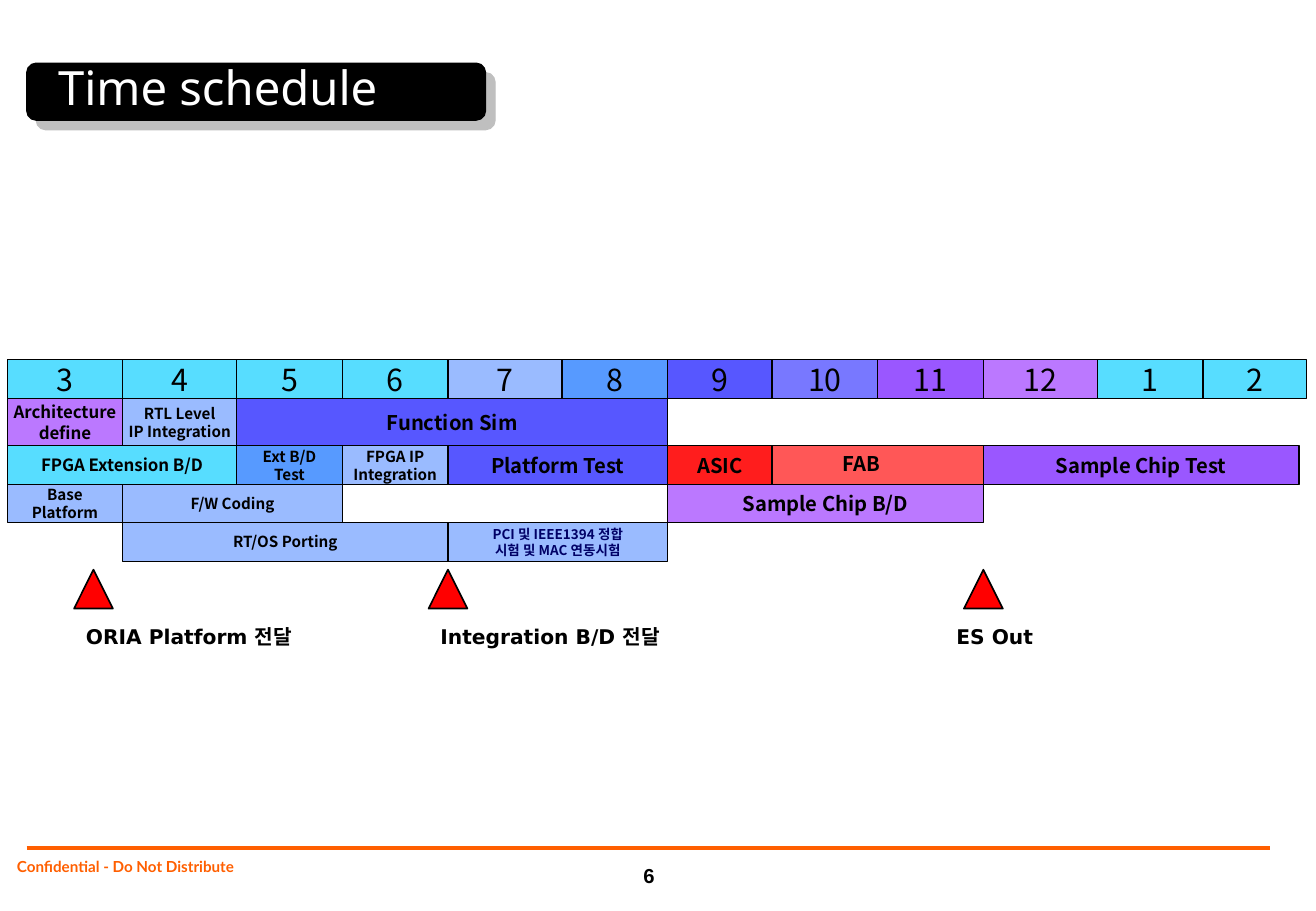
from itertools import accumulate
from lxml.etree import SubElement
from pptx import Presentation
from pptx.dml.color import RGBColor
from pptx.enum.shapes import MSO_CONNECTOR, MSO_SHAPE as SHAPE
from pptx.enum.text import MSO_ANCHOR as ANCHOR, PP_ALIGN as ALIGN
from pptx.oxml.ns import qn
from pptx.util import Pt


class Theme:
    black, white, orange, red = "000000", "FFFFFF", "FF5F00", "FF0000"
    cyan, pale, sky, blue = "00CCFF", "6699FF", "0066FF", "0000FF"
    indigo, violet, purple, navy = "3333FF", "6600FF", "9933FF", "000066"
    shadow = "808080"
    title_font, bar_font, mark_font = "Noto Sans", "Noto Sans CJK KR", "DejaVu Sans"
    footer_font, number_font = "Lato", "Arial"
    title, month, large, medium, small, tiny = 28, 18, 12, 10, 9, 8
    bar_alpha = 66


T = Theme

# Content: months as (name, width, colour)
MONTHS = [
    ("3", 95, T.cyan), ("4", 94, T.cyan), ("5", 87, T.cyan), ("6", 87, T.cyan),
    ("7", 94, T.pale), ("8", 87, T.sky), ("9", 86, T.blue), ("10", 87, T.indigo),
    ("11", 87, T.violet), ("12", 94, T.purple), ("1", 87, T.cyan), ("2", 85, T.cyan),
]
# Tasks by row: (lines, first column, end column, colour, size, text colour)
TASKS = [
    [(["Architecture", "define"], 0, 1, T.purple, T.medium, T.black),
     (["RTL Level", "IP Integration"], 1, 2, T.pale, T.small, T.black),
     (["Function Sim"], 2, 6, T.blue, T.large, T.black)],
    [(["FPGA Extension B/D"], 0, 2, T.cyan, T.medium, T.black),
     (["Ext B/D", "Test"], 2, 3, T.sky, T.small, T.black),
     (["FPGA IP", "Integration"], 3, 4, T.pale, T.small, T.black),
     (["Platform Test"], 4, 6, T.blue, T.large, T.black),
     ([], 6, 9, T.red, T.large, T.black),
     (["ASIC"], 6, 7, T.red, T.large, T.black),
     (["Sample Chip Test"], 9, 12, T.violet, T.large, T.black)],
    [(["Base", "Platform"], 0, 1, T.pale, T.small, T.black),
     (["F/W Coding"], 1, 3, T.pale, T.small, T.black),
     (["Sample Chip B/D"], 6, 9, T.purple, T.large, T.black)],
    [(["RT/OS Porting"], 1, 4, T.pale, T.small, T.black),
     (["PCI 및 IEEE1394 정합", "시험 및 MAC 연동시험"], 4, 6, T.pale, T.tiny, T.navy)],
]
# Milestones: (label, triangle centre, label left, label width)
MILESTONES = [
    ("ORIA Platform 전달", 77, 61, 236),
    ("Integration B/D 전달", 369, 353, 236),
    ("ES Out", 810, 778, 197),
]

# Layout, 100 px to the inch
PX = 9144
CHART_LEFT, CHART_TOP, PLAN_END = 6, 296, 1070
ROW_HEIGHTS = [32, 39, 32, 31, 32]
MARK_TOP, MARK_SIZE, LABEL_TOP = 469, 32, 509
COLUMNS = list(accumulate([w for _, w, _ in MONTHS], initial=CHART_LEFT))
ROWS = list(accumulate(ROW_HEIGHTS, initial=CHART_TOP))

prs = Presentation()
prs.slide_width, prs.slide_height = 1084 * PX, 750 * PX
s = prs.slides.add_slide(prs.slide_layouts[6])


def box(*px):
    return [v * PX for v in px]


def write(sp, lines, size, font, color=T.black, bold=True, align=ALIGN.LEFT,
          anchor=ANCHOR.TOP, insets=(10, 5, 10, 5), wrap=True, spacing=None):
    tf = sp.text_frame
    tf.word_wrap, tf.vertical_anchor = wrap, anchor
    tf.margin_left, tf.margin_top, tf.margin_right, tf.margin_bottom = box(*insets)
    for i, line in enumerate(lines):
        p = tf.add_paragraph() if i else tf.paragraphs[0]
        p.add_run().text = line
        p.alignment = align
        if spacing:
            p.line_spacing = spacing
        p.font.size, p.font.bold, p.font.name = Pt(size), bold, font
        p.font.color.rgb = RGBColor.from_string(color)
        SubElement(p._p.pPr.find(qn("a:defRPr")), qn("a:ea"), typeface=font)


def label(px, lines, size, font, **style):
    write(s.shapes.add_textbox(*box(*px)), lines, size, font, **style)


def shape(kind, px, color, width=0.75, alpha=None):
    sp = s.shapes.add_shape(kind, *box(*px))
    sp.shadow.inherit = False
    sp.fill.solid()
    sp.fill.fore_color.rgb = RGBColor.from_string(color)
    sp.line.color.rgb = RGBColor.from_string(T.black)
    sp.line.width = Pt(width)
    if alpha:
        fill = sp._element.spPr.find(qn("a:solidFill"))
        SubElement(fill[0], qn("a:alpha"), val=str(alpha * 1000))
    return sp


def bar(row, left, right, fill, lines, size, **style):
    sp = shape(SHAPE.RECTANGLE, (left, ROWS[row], right - left, ROW_HEIGHTS[row]),
               fill, alpha=T.bar_alpha)
    write(sp, lines, size, T.bar_font, align=ALIGN.CENTER,
          anchor=ANCHOR.MIDDLE, wrap=False, **style)


# Footer
rule = s.shapes.add_connector(MSO_CONNECTOR.STRAIGHT, *box(22, 698, 1046, 698))
rule.line.color.rgb = RGBColor.from_string(T.orange)
rule.line.width = Pt(2)
SubElement(rule._element.spPr, qn("a:effectLst"))
label((9, 704, 366, 27), ["Confidential - Do Not Distribute"], T.small, T.footer_font,
      color=T.orange, insets=(5, 0, 5, 0), spacing=1.1)
label((519, 705, 31, 31), ["6"], T.large, T.number_font,
      align=ALIGN.CENTER, anchor=ANCHOR.BOTTOM)

# Title on a plate with a drop shadow
plate = shape(SHAPE.ROUNDED_RECTANGLE, (22, 52, 378, 47), T.black)
shadow = SubElement(plate._element.spPr.find(qn("a:effectLst")), qn("a:outerShdw"),
                    dist=str(Pt(8)), dir="2700000", algn="ctr", rotWithShape="0")
tint = SubElement(shadow, qn("a:srgbClr"), val=T.shadow)
SubElement(tint, qn("a:alpha"), val="50000")
label((38, 20, 441, 103), ["Time schedule"], T.title, T.title_font, color=T.white,
      bold=False, anchor=ANCHOR.MIDDLE, insets=(10, 6, 10, 6))

# Month header
for (month, _, fill), left, right in zip(MONTHS, COLUMNS, COLUMNS[1:]):
    bar(0, left, right, fill, [month], T.month, bold=False)

# Task bars
for row, tasks in enumerate(TASKS, start=1):
    for lines, first, end, fill, size, ink in tasks:
        bar(row, COLUMNS[first], min(COLUMNS[end], PLAN_END), fill, lines, size, color=ink)
label((684, ROWS[2], 173, 30), ["FAB"], T.large, T.bar_font)

# Milestones
for name, centre, left, width in MILESTONES:
    shape(SHAPE.ISOSCELES_TRIANGLE,
          (centre - MARK_SIZE // 2, MARK_TOP, MARK_SIZE, MARK_SIZE), T.red, width=1)
    label((left, LABEL_TOP, width, 30), [name], T.large, T.mark_font)

prs.save("out.pptx")
